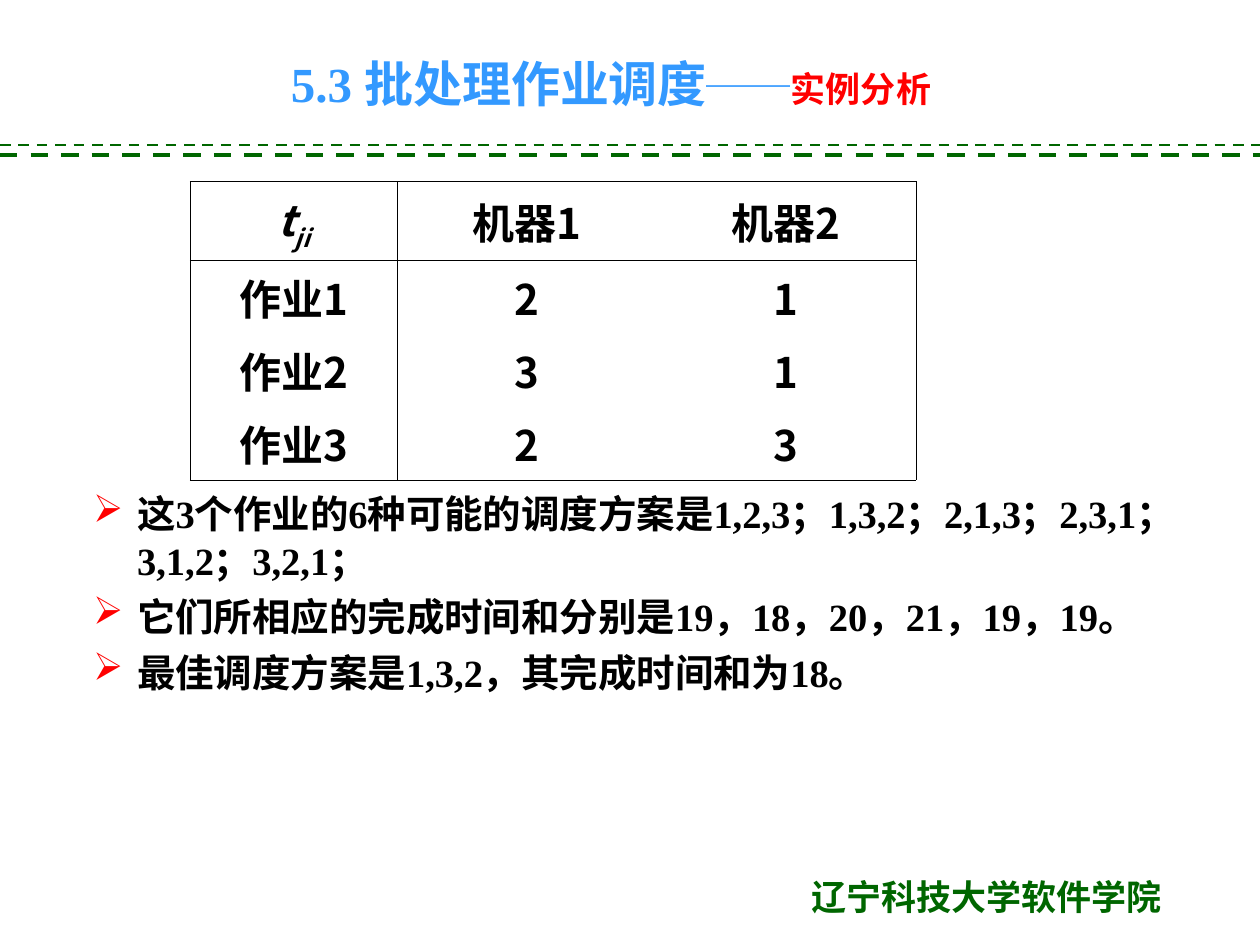
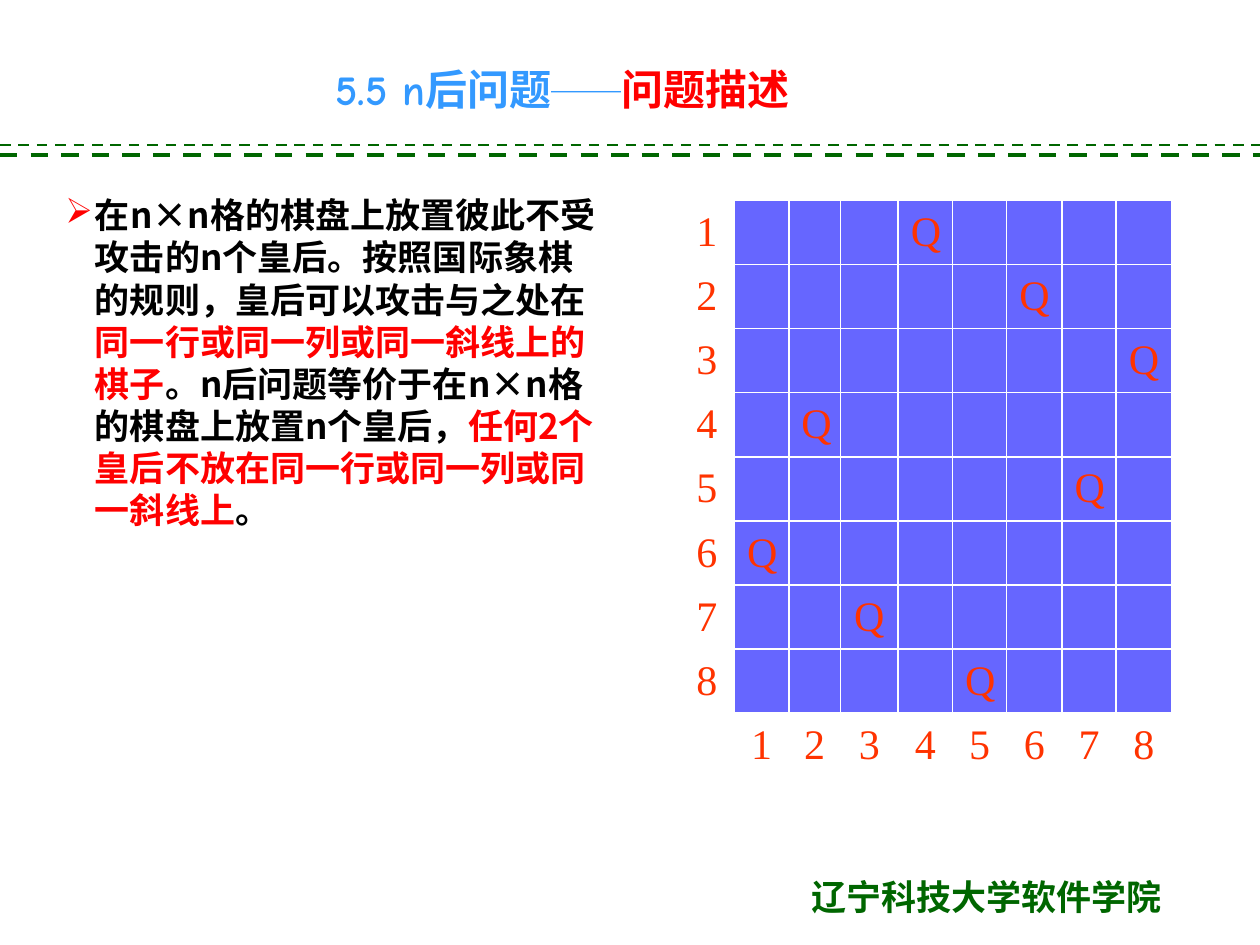
from dataclasses import dataclass, replace
from typing import NamedTuple

from lxml import etree
from pptx import Presentation
from pptx.dml.color import RGBColor
from pptx.enum.dml import MSO_LINE
from pptx.enum.shapes import MSO_CONNECTOR
from pptx.enum.text import MSO_ANCHOR, PP_ALIGN
from pptx.oxml.ns import qn
from pptx.util import Inches, Pt

STRAIGHT = MSO_CONNECTOR.STRAIGHT
DASH = MSO_LINE.DASH
TOP, MIDDLE = MSO_ANCHOR.TOP, MSO_ANCHOR.MIDDLE
LEFT, CENTER = PP_ALIGN.LEFT, PP_ALIGN.CENTER

SLIDE_WIDTH, SLIDE_HEIGHT = Inches(10), Inches(7.5)
GRID_COLUMNS, GRID_ROWS = 100, 75


@dataclass(frozen=True)
class Theme:
    green: str = "006600"
    blue: str = "3399FF"
    red: str = "FF0000"
    black: str = "000000"
    white: str = "FFFFFF"
    board: str = "6666FF"
    queen: str = "FF3300"
    serif: str = "Times New Roman"
    comic: str = "Comic Neue"
    sans: str = "Arial"
    cjk: str = "Noto Sans CJK SC"
    title_size: float = 28
    table_size: float = 24
    body_size: float = 22
    small_size: float = 20


THEME = Theme()


@dataclass(frozen=True)
class Style:
    size: float
    face: str
    color: str
    bold: bool = True
    italic: bool = False


class Frame(NamedTuple):
    column: float
    row: float
    columns: float
    rows: float


class Phrase(NamedTuple):
    text: str
    style: Style
    baseline: int = 0


class Rule(NamedTuple):
    row: float
    weight: float


class Bullets(NamedTuple):
    margin: float
    hanging: float
    line_height: float
    gap: float


FOOTER = Style(THEME.small_size, THEME.serif, THEME.green)
BODY = Style(THEME.body_size, THEME.serif, THEME.black)
PROBLEM = Style(THEME.small_size, THEME.cjk, THEME.black)
EMPHASIS = replace(PROBLEM, color=THEME.red)
TIMES = Style(THEME.table_size, THEME.cjk, THEME.black)
TIMES_SYMBOL = replace(TIMES, italic=True)
QUEEN = Style(THEME.table_size, THEME.serif, THEME.queen, bold=False)
SECTION = Style(THEME.title_size, THEME.comic, THEME.blue)
SECTION_NUMBER = replace(SECTION, face=THEME.serif)
SECTION_SMALL = replace(SECTION, size=THEME.table_size)
DASHES = replace(SECTION_SMALL, face=THEME.sans)
DASHES_SMALL = replace(DASHES, size=THEME.small_size)
TOPIC = replace(SECTION_SMALL, color=THEME.red)
TOPIC_SMALL = replace(TOPIC, size=THEME.small_size)

RULES = [Rule(11.5, 1.5), Rule(12.3, 2.5)]
FOOTER_FRAME = Frame(63.4, 69, 35.4, 4.4)

SCHEDULE_TITLE = [
    Phrase("5.3 ", SECTION_NUMBER),
    Phrase("批处理作业调度", SECTION),
    Phrase("──", DASHES),
    Phrase("实例分析", TOPIC_SMALL),
]
JOB_TIMES = [
    ["", "机器1", "机器2"],
    ["作业1", "2", "1"],
    ["作业2", "3", "1"],
    ["作业3", "2", "3"],
]
TIME_SYMBOL = [Phrase("t", TIMES_SYMBOL), Phrase("ji", TIMES_SYMBOL, -25000)]
SCHEDULE_POINTS = [
    "这3个作业的6种可能的调度方案是1,2,3；1,3,2；2,1,3；2,3,1；3,1,2；3,2,1；",
    "它们所相应的完成时间和分别是19，18，20，21，19，19。",
    "最佳调度方案是1,3,2，其完成时间和为18。",
]

QUEENS_TITLE = [
    Phrase("5.5 n后问题", SECTION_SMALL),
    Phrase("──", DASHES_SMALL),
    Phrase("问题描述", TOPIC),
]
QUEENS_PROBLEM = [
    Phrase("在n×n格的棋盘上放置彼此不受攻击的n个皇后。按照国际象棋的规则，皇后可以攻击与之处在", PROBLEM),
    Phrase("同一行或同一列或同一斜线上的棋子", EMPHASIS),
    Phrase("。n后问题等价于在n×n格的棋盘上放置n个皇后，", PROBLEM),
    Phrase("任何2个皇后不放在同一行或同一列或同一斜线上", EMPHASIS),
    Phrase("。", PROBLEM),
]
QUEEN_COLUMNS = [4, 6, 8, 2, 7, 1, 3, 5]


def across(columns: float) -> int:
    return round(SLIDE_WIDTH * columns / GRID_COLUMNS)


def down(rows: float) -> int:
    return round(SLIDE_HEIGHT * rows / GRID_ROWS)


def placed(frame: Frame) -> tuple[int, int, int, int]:
    return across(frame.column), down(frame.row), across(frame.columns), down(frame.rows)


def apply_style(font, style: Style) -> None:
    font.size = Pt(style.size)
    font.name = style.face
    font.bold = style.bold
    font.italic = style.italic
    font.color.rgb = RGBColor.from_string(style.color)


def write(paragraph, phrases: list[Phrase], align=LEFT) -> None:
    paragraph.alignment = align
    shared = len({phrase.style for phrase in phrases}) == 1
    if shared:
        apply_style(paragraph.font, phrases[0].style)
    for phrase in phrases:
        run = paragraph.add_run()
        run.text = phrase.text
        if not shared:
            apply_style(run.font, phrase.style)
        if phrase.baseline:
            run._r.get_or_add_rPr().set("baseline", str(phrase.baseline))


def add_bullet(paragraph, bullets: Bullets) -> None:
    properties = paragraph._p.get_or_add_pPr()
    properties.set("marL", str(across(bullets.margin)))
    properties.set("indent", str(-across(bullets.hanging)))
    color = etree.SubElement(properties, qn("a:buClr"))
    etree.SubElement(color, qn("a:srgbClr"), val=THEME.red)
    etree.SubElement(properties, qn("a:buChar"), char="➢")


def add_text(slide, frame: Frame, paragraphs: list[list[Phrase]], anchor=TOP,
             align=LEFT, bullets: Bullets | None = None) -> None:
    text = slide.shapes.add_textbox(*placed(frame)).text_frame
    text.word_wrap = True
    text.vertical_anchor = anchor
    for index, phrases in enumerate(paragraphs):
        paragraph = text.add_paragraph() if index else text.paragraphs[0]
        if bullets:
            add_bullet(paragraph, bullets)
            paragraph.line_spacing = Pt(bullets.line_height)
            if index:
                paragraph.space_before = Pt(bullets.gap)
        write(paragraph, phrases, align)


def add_rule(slide, rule: Rule) -> None:
    line = slide.shapes.add_connector(
        STRAIGHT, 0, down(rule.row), SLIDE_WIDTH, down(rule.row))
    line.line.color.rgb = RGBColor.from_string(THEME.green)
    line.line.width = Pt(rule.weight)
    line.line.dash_style = DASH
    etree.SubElement(line._element.spPr, qn("a:effectLst"))


def set_borders(cell, edges: str, color: str, weight: float) -> None:
    properties = cell._tc.get_or_add_tcPr()
    for index, edge in enumerate("LRTB"):
        border = etree.Element(qn(f"a:ln{edge}"), w=str(Pt(weight)))
        if edge in edges:
            fill = etree.SubElement(border, qn("a:solidFill"))
            etree.SubElement(fill, qn("a:srgbClr"), val=color)
        else:
            etree.SubElement(border, qn("a:noFill"))
        properties.insert(index, border)


def add_grid(slide, frame: Frame, widths: list[float], heights: list[float]):
    table = slide.shapes.add_table(len(heights), len(widths), *placed(frame)).table
    table.first_row = table.horz_banding = False
    for column, width in zip(table.columns, widths):
        column.width = across(width)
    for row, height in zip(table.rows, heights):
        row.height = down(height)
    return table


def fill_cell(cell, phrases: list[Phrase], color: str | None = None) -> None:
    cell.vertical_anchor = MIDDLE
    if color:
        cell.fill.solid()
        cell.fill.fore_color.rgb = RGBColor.from_string(color)
    else:
        cell.fill.background()
    if phrases:
        write(cell.text_frame.paragraphs[0], phrases, CENTER)


def add_job_times(slide) -> None:
    widths, heights = [16.4, 20.6, 20.6], [6.3, 5.8, 5.8, 5.8]
    table = add_grid(slide, Frame(15.1, 14.4, sum(widths), sum(heights)), widths, heights)
    last_row, last_column = len(heights) - 1, len(widths) - 1
    for row, entries in enumerate(JOB_TIMES):
        for column, entry in enumerate(entries):
            cell = table.cell(row, column)
            fill_cell(cell, [Phrase(entry, TIMES)] if entry else TIME_SYMBOL)
            ruled = {"L": column in (0, 1), "R": column in (0, last_column),
                     "T": row in (0, 1), "B": row in (0, last_row)}
            edges = "".join(edge for edge, shown in ruled.items() if shown)
            set_borders(cell, edges, THEME.black, 0.45)


def add_chessboard(slide) -> None:
    size = len(QUEEN_COLUMNS)
    widths = [4.4, 4.3, 4.1, 4.6, 4.3, 4.3, 4.4, 4.3, 4.4]
    heights = [5.09] * (size + 1)
    table = add_grid(slide, Frame(53.9, 15.9, sum(widths), sum(heights)), widths, heights)
    for row in range(size + 1):
        for column in range(size + 1):
            on_board = row < size and column > 0
            if on_board:
                mark = "Q" if QUEEN_COLUMNS[row] == column else ""
            elif row < size:
                mark = str(row + 1)
            else:
                mark = str(column) if column else ""
            cell = table.cell(row, column)
            fill_cell(cell, [Phrase(mark, QUEEN)] if mark else [],
                      THEME.board if on_board else None)
            set_borders(cell, "LRTB", THEME.white, 1.08)


def add_page(presentation, title: list[Phrase], title_frame: Frame):
    slide = presentation.slides.add_slide(presentation.slide_layouts[6])
    add_text(slide, FOOTER_FRAME, [[Phrase("辽宁科技大学软件学院", FOOTER)]])
    for rule in RULES:
        add_rule(slide, rule)
    add_text(slide, title_frame, [title], MIDDLE, CENTER)
    return slide


def main() -> None:
    presentation = Presentation()
    presentation.slide_width, presentation.slide_height = SLIDE_WIDTH, SLIDE_HEIGHT
    for root in (presentation.element, presentation.slide_master.element):
        for east_asian in root.iter(qn("a:ea")):
            east_asian.set("typeface", THEME.cjk)

    schedule = add_page(presentation, SCHEDULE_TITLE, Frame(18, 3.1, 61, 6.9))
    add_text(schedule, Frame(5.2, 38.4, 89.3, 21.3),
             [[Phrase(point, BODY)] for point in SCHEDULE_POINTS],
             bullets=Bullets(4.7, 3.5, 26.5, 5.5))
    add_job_times(schedule)

    queens = add_page(presentation, QUEENS_TITLE, Frame(15.1, 3.5, 59.1, 7.1))
    add_text(queens, Frame(4.2, 14.9, 44.2, 36.9), [QUEENS_PROBLEM],
             bullets=Bullets(2.35, 2.35, 24, 5))
    add_chessboard(queens)

    presentation.save("out.pptx")


if __name__ == "__main__":
    main()
